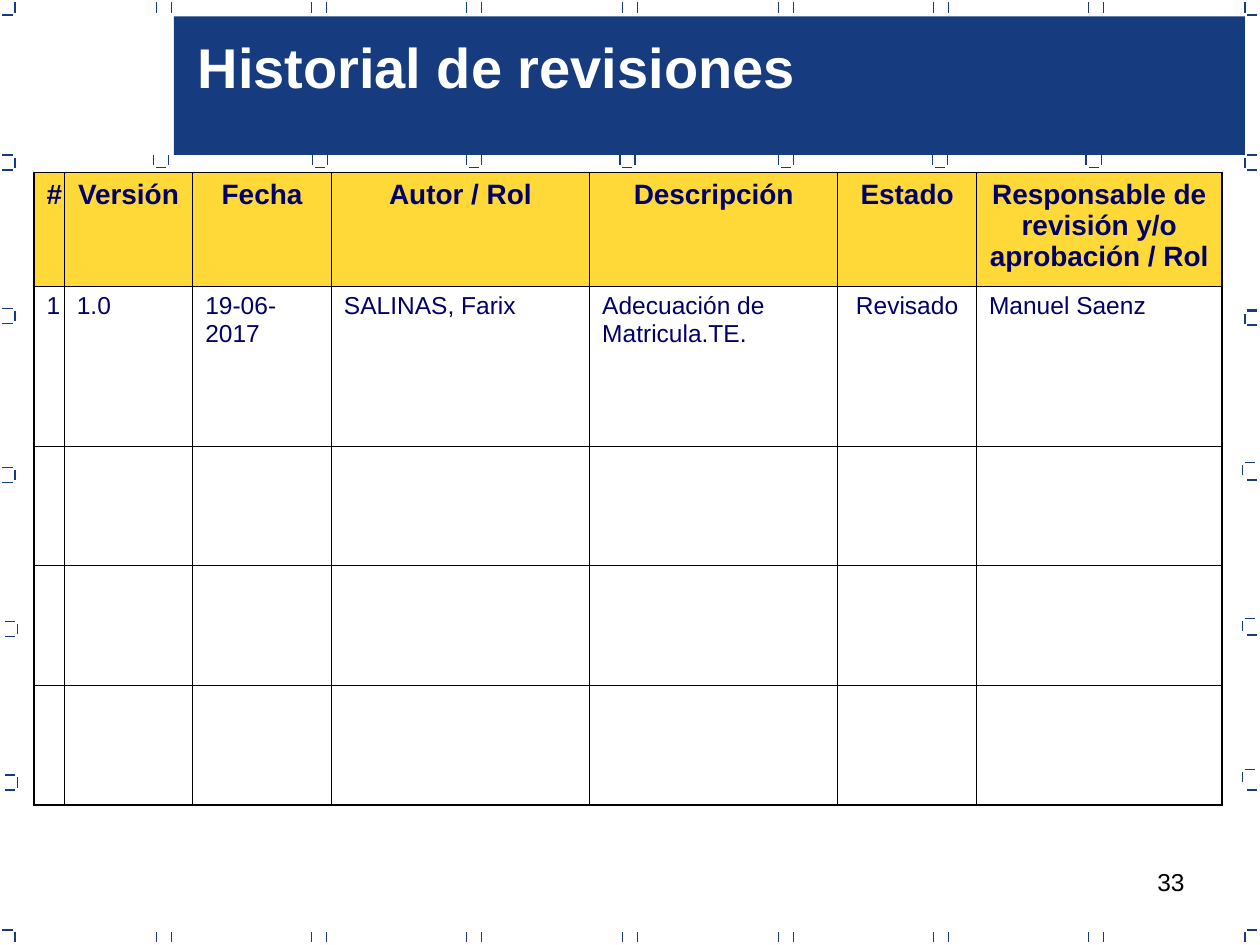
from lxml.etree import SubElement
from pptx import Presentation
from pptx.dml.color import RGBColor
from pptx.enum.shapes import MSO_CONNECTOR, MSO_SHAPE
from pptx.enum.text import MSO_AUTO_SIZE, PP_ALIGN
from pptx.oxml.ns import qn
from pptx.util import Pt

PX = 9144  # EMU per px, 100 px to the inch
WIDTH, HEIGHT = 1000, 750
FONT = "Arial"
BLUE = RGBColor(0x16, 0x3B, 0x7F)
NAVY = RGBColor(0x00, 0x00, 0x66)
YELLOW = RGBColor(0xFF, 0xD9, 0x37)
WHITE = RGBColor(0xFF, 0xFF, 0xFF)
BLACK = RGBColor(0x00, 0x00, 0x00)

TICK = 8         # length of every dash in the frame
GAP = 2          # space between a dash and the corner it points to
SPAN = 12        # distance between two parallel dashes
INNER, OUTER = 0.45, 1.08  # table border widths in points

COLUMNS = [24, 102, 110, 205, 197, 110, 195]
ROWS = [90, 127, 95, 95, 95]
HEADERS = ["#", "Versión", "Fecha", "Autor / Rol", "Descripción", "Estado",
           "Responsable de revisión y/o aprobación / Rol"]
REVISION = ["1", "1.0", "19-06-2017", "SALINAS, Farix",
            "Adecuación de Matricula.TE.", "Revisado", "Manuel Saenz"]
CENTERED = {0, 5}  # body columns


def emu(*lengths):
    return [length * PX for length in lengths]


def style(p, size, color, bold=False, align=PP_ALIGN.LEFT):
    p.alignment = align
    p.font.name = FONT
    p.font.size = Pt(size)
    p.font.bold = bold
    p.font.color.rgb = color


def add_text(s, box, text, size, color, bold=False, align=PP_ALIGN.LEFT, wrap=True):
    tf = s.shapes.add_textbox(*emu(*box)).text_frame
    tf.word_wrap = wrap
    if not wrap:
        tf.auto_size = MSO_AUTO_SIZE.SHAPE_TO_FIT_TEXT
    p = tf.paragraphs[0]
    p.text = text
    style(p, size, color, bold, align)


def add_dash(s, x, y, dx, dy):
    c = s.shapes.add_connector(MSO_CONNECTOR.STRAIGHT, *emu(x, y, x + dx, y + dy))
    c.line.color.rgb = BLUE
    c.line.width = Pt(0.75)
    SubElement(c._element.spPr, qn("a:effectLst"))


def add_bracket(s, x, y, side, top=True, bottom=True):
    """Upright dash at x with bars reaching to the left (-1) or right (1)."""
    add_dash(s, x, y + GAP, 0, TICK)
    for shown, bar_y in ((top, y), (bottom, y + SPAN)):
        if shown:
            add_dash(s, x + GAP * side, bar_y, TICK * side, 0)


def add_cup(s, x, y):
    for dx in (0, SPAN):
        add_dash(s, x + dx, y, 0, TICK)
    add_dash(s, x + GAP, y + TICK + GAP, TICK, 0)


def add_frame(s, left, top, width, height):
    """Dashed marks along the four edges of the box."""
    right, base = left + width, top + height
    for x in (124, 247, 370, 494, 618, 741, 864):
        for dx in (0, SPAN):
            for y in (top + GAP, base - GAP - TICK):
                add_dash(s, left + x + dx, y, 0, TICK)

    for x, side in ((left + SPAN, -1), (right - SPAN, 1)):
        add_bracket(s, x, top, side, top=False)
        add_bracket(s, x, top + 123, side)
        add_bracket(s, x, base - SPAN, side, bottom=False)

    for x, y in ((12, 245), (12, 371), (14, 493), (14, 615)):
        add_bracket(s, left + x, top + y, -1)
    for x, y in ((12, 247), (14, 367), (14, 491), (14, 611)):
        add_bracket(s, right - x, top + y, 1, bottom=False)
    for y in (246, 258, 381, 504, 627):
        add_dash(s, right - SPAN + GAP, top + y, TICK, 0)


def add_banner(s, left, top, width, height):
    sp = s.shapes.add_shape(MSO_SHAPE.RECTANGLE, *emu(left, top, width, height))
    sp.shadow.inherit = False
    sp.fill.solid()
    sp.fill.fore_color.rgb = BLUE
    sp.line.fill.background()
    for x in (-16, 110, 232, 354, 480, 602, 724):
        add_cup(s, left + x, top + height)
    add_text(s, (left + 9, top + 8, 495, 64), "Historial de revisiones",
             32, WHITE, bold=True, wrap=False)


def set_borders(cell, widths):
    """Widths in points, in the order left, right, top, bottom."""
    tc_pr = cell._tc.get_or_add_tcPr()
    for edge, width in zip("LRTB", widths):
        ln = SubElement(tc_pr, qn(f"a:ln{edge}"), w=str(Pt(width)))
        fill = SubElement(ln, qn("a:solidFill"))
        SubElement(fill, qn("a:srgbClr"), val=str(BLACK))


def add_revisions(s, left, top):
    box = emu(left, top, sum(COLUMNS), sum(ROWS))
    table = s.shapes.add_table(len(ROWS), len(COLUMNS), *box).table
    table.first_row = table.horz_banding = False
    for column, width in zip(table.columns, COLUMNS):
        column.width = width * PX
    for row, height in zip(table.rows, ROWS):
        row.height = height * PX

    last_row, last_col = len(ROWS) - 1, len(COLUMNS) - 1
    for i in range(len(ROWS)):
        for j in range(len(COLUMNS)):
            cell = table.cell(i, j)
            on_edge = (j == 0, j == last_col, i == 0, i == last_row)
            set_borders(cell, [OUTER if edge else INNER for edge in on_edge])
            if i == 0:
                cell.fill.solid()
                cell.fill.fore_color.rgb = YELLOW
            else:
                cell.fill.background()

    for j, (header, value) in enumerate(zip(HEADERS, REVISION)):
        p = table.cell(0, j).text_frame.paragraphs[0]
        p.text = header
        style(p, 16, NAVY, bold=True, align=PP_ALIGN.CENTER)
        p = table.cell(1, j).text_frame.paragraphs[0]
        p.text = value
        style(p, 14, NAVY, align=PP_ALIGN.CENTER if j in CENTERED else PP_ALIGN.LEFT)


def main():
    prs = Presentation()
    prs.slide_width, prs.slide_height = emu(WIDTH, HEIGHT)
    s = prs.slides.add_slide(prs.slide_layouts[6])
    add_text(s, (717, 683, 233, 52), "33", 14, BLACK, align=PP_ALIGN.RIGHT)
    add_frame(s, 0, 0, WIDTH, HEIGHT)
    add_banner(s, 138, 13, 850, 110)
    add_revisions(s, 27, 137)
    prs.save("out.pptx")


if __name__ == "__main__":
    main()
